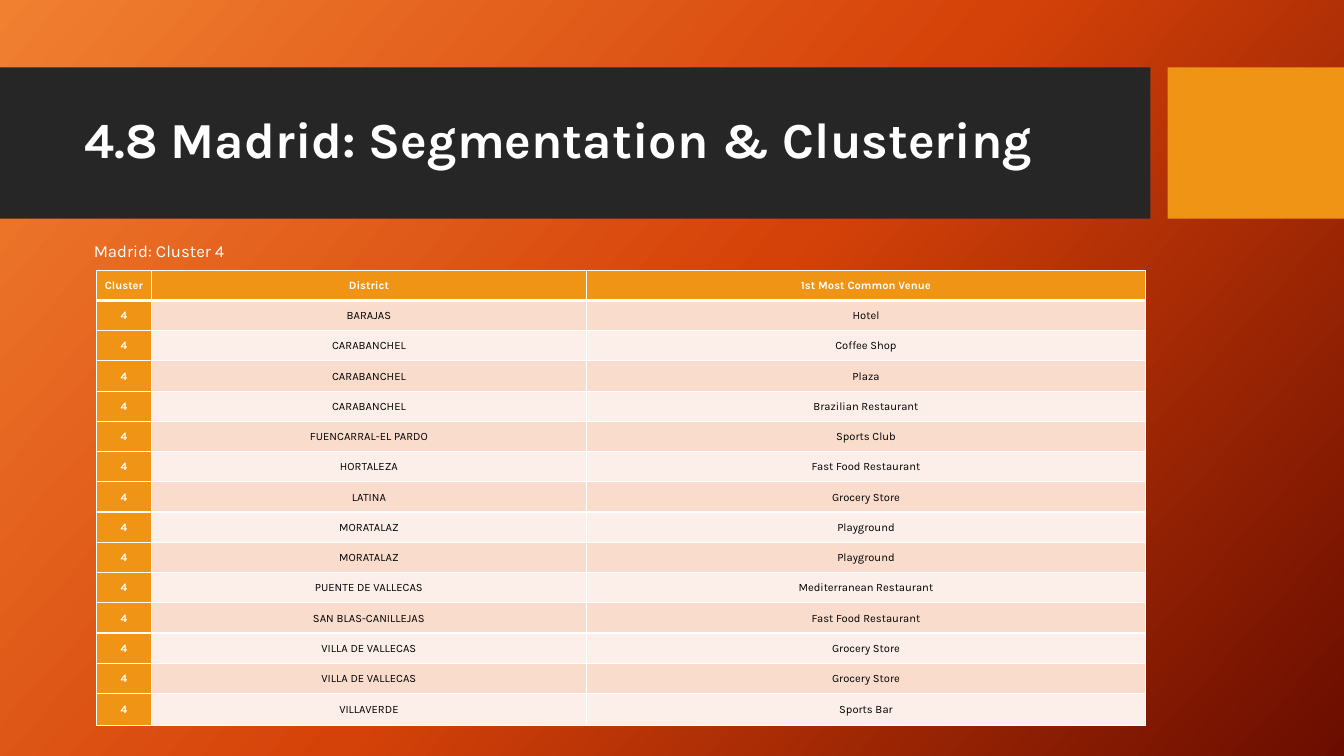
"""Build the Madrid cluster 4 slide: banner, title, caption and venue table."""
from copy import deepcopy
from dataclasses import dataclass

from lxml import etree
from pptx import Presentation
from pptx.dml.color import RGBColor
from pptx.enum.shapes import MSO_SHAPE
from pptx.enum.text import MSO_ANCHOR, MSO_AUTO_SIZE, PP_ALIGN
from pptx.oxml.ns import qn
from pptx.util import Inches, Pt

RECT = MSO_SHAPE.RECTANGLE
MIDDLE = MSO_ANCHOR.MIDDLE
NO_FIT = MSO_AUTO_SIZE.NONE
LEFT, CENTER = PP_ALIGN.LEFT, PP_ALIGN.CENTER

WIDTH, HEIGHT = Inches(13.33), Inches(7.5)
FONT = "Karla"
WHITE, BLACK, DARK, AMBER = "FFFFFF", "000000", "262626", "F09415"
STRIPES = ("F9DCCC", "FCEEE8")
GRADIENT = ((0, "F18031"), (0.5, "D54209"), (1, "6A0D00"))
GRADIENT_ANGLE = 42
COLUMN_SHARES = (4.05, 32.41, 41.56)
ROW_SHARE, LAST_ROW_SHARE = 4, 4.27
THIN, THICK = 1, 3

HEADER = ("Cluster", "District", "1st Most Common Venue")
VENUES = (
    ("BARAJAS", "Hotel"),
    ("CARABANCHEL", "Coffee Shop"),
    ("CARABANCHEL", "Plaza"),
    ("CARABANCHEL", "Brazilian Restaurant"),
    ("FUENCARRAL-EL PARDO", "Sports Club"),
    ("HORTALEZA", "Fast Food Restaurant"),
    ("LATINA", "Grocery Store"),
    ("MORATALAZ", "Playground"),
    ("MORATALAZ", "Playground"),
    ("PUENTE DE VALLECAS", "Mediterranean Restaurant"),
    ("SAN BLAS-CANILLEJAS", "Fast Food Restaurant"),
    ("VILLA DE VALLECAS", "Grocery Store"),
    ("VILLA DE VALLECAS", "Grocery Store"),
    ("VILLAVERDE", "Sports Bar"),
)


def across(share: float) -> int:
    return round(WIDTH * share / 100)


def down(share: float) -> int:
    return round(HEIGHT * share / 100)


@dataclass(frozen=True)
class Box:
    left: float
    top: float
    width: float
    height: float

    def emu(self) -> tuple[int, int, int, int]:
        return across(self.left), down(self.top), across(self.width), down(self.height)


@dataclass(frozen=True)
class Band:
    box: Box
    color: str


BANDS = (
    Band(Box(0, 8.93, 85.6, 20), DARK),
    Band(Box(86.87, 8.93, 13.13, 20), AMBER),
)
TITLE_BOX = Box(5.55, 10.93, 78.84, 15.73)
CAPTION_BOX = Box(5.55, 29.87, 78.84, 5.87)
TABLE_BOX = Box(7.2, 35.73, sum(COLUMN_SHARES),
                ROW_SHARE * len(VENUES) + LAST_ROW_SHARE)


def rgb(color: str) -> RGBColor:
    return RGBColor.from_string(color)


def write(tf, text: str, *, size: float, color: str = WHITE, bold: bool = False,
          align=LEFT, spacing: float = 1.0) -> None:
    p = tf.paragraphs[0]
    p.alignment, p.line_spacing = align, spacing
    p.space_before = Pt(0)
    r = p.add_run()
    r.text = text
    r.font.name, r.font.size, r.font.bold = FONT, Pt(size), bold
    r.font.color.rgb = rgb(color)


def paint_background(s) -> None:
    fill = s.background.fill
    fill.gradient()
    fill.gradient_angle = 360 - GRADIENT_ANGLE
    stops = s.element.find(".//" + qn("a:gsLst"))
    stops.append(deepcopy(stops[-1]))
    for stop, (position, color) in zip(fill.gradient_stops, GRADIENT):
        stop.position = position
        stop.color.rgb = rgb(color)


def add_band(s, band: Band) -> None:
    sp = s.shapes.add_shape(RECT, *band.box.emu())
    sp.shadow.inherit = False
    sp.fill.solid()
    sp.fill.fore_color.rgb = rgb(band.color)
    sp.line.fill.background()
    s.shapes.title.element.addprevious(sp.element)


def place(sp, box: Box):
    sp.left, sp.top, sp.width, sp.height = box.emu()
    tf = sp.text_frame
    tf.word_wrap, tf.auto_size, tf.vertical_anchor = True, NO_FIT, MIDDLE
    return tf


def add_caption(s, text: str) -> None:
    tf = place(s.placeholders[1], CAPTION_BOX)
    tf.margin_left, tf.margin_top = Inches(0.19), Inches(0.1)
    write(tf, text, size=12)
    pPr = tf.paragraphs[0]._p.get_or_add_pPr()
    pPr.set("marL", "0")
    pPr.set("indent", "0")
    etree.SubElement(pPr, qn("a:buNone"))


def add_borders(cell, top: float, bottom: float) -> None:
    tcPr = cell._tc.get_or_add_tcPr()
    sides = (("L", THIN), ("R", THIN), ("T", top), ("B", bottom))
    for i, (side, width) in enumerate(sides):
        ln = etree.Element(qn(f"a:ln{side}"), w=str(Pt(width)))
        fill = etree.SubElement(ln, qn("a:solidFill"))
        etree.SubElement(fill, qn("a:srgbClr"), val=WHITE)
        tcPr.insert(i, ln)


def fill_cell(cell, text: str, row: int, col: int) -> None:
    label = row == 0 or col == 0
    cell.fill.solid()
    cell.fill.fore_color.rgb = rgb(AMBER if label else STRIPES[(row - 1) % 2])
    cell.vertical_anchor = MIDDLE
    cell.margin_left = cell.margin_right = Inches(0.07)
    cell.margin_top = cell.margin_bottom = 0
    write(cell.text_frame, text, size=8, color=WHITE if label else BLACK,
          bold=label, align=CENTER, spacing=1.07)
    add_borders(cell, top=THICK if row == 1 else THIN,
                bottom=THICK if row == 0 else THIN)


def add_venue_table(s) -> None:
    rows = [HEADER] + [("4", *venue) for venue in VENUES]
    table = s.shapes.add_table(len(rows), len(HEADER), *TABLE_BOX.emu()).table
    table.horz_banding = False
    for column, share in zip(table.columns, COLUMN_SHARES):
        column.width = across(share)
    for i, values in enumerate(rows):
        table.rows[i].height = down(LAST_ROW_SHARE if i == len(VENUES) else ROW_SHARE)
        for j, text in enumerate(values):
            fill_cell(table.cell(i, j), text, i, j)


def main() -> None:
    prs = Presentation()
    prs.slide_width, prs.slide_height = WIDTH, HEIGHT
    s = prs.slides.add_slide(prs.slide_layouts[1])
    paint_background(s)
    for band in BANDS:
        add_band(s, band)
    write(place(s.shapes.title, TITLE_BOX), "4.8 Madrid: Segmentation & Clustering",
          size=36, bold=True, spacing=0.9)
    add_caption(s, "Madrid: Cluster 4")
    add_venue_table(s)
    prs.save("out.pptx")


if __name__ == "__main__":
    main()
